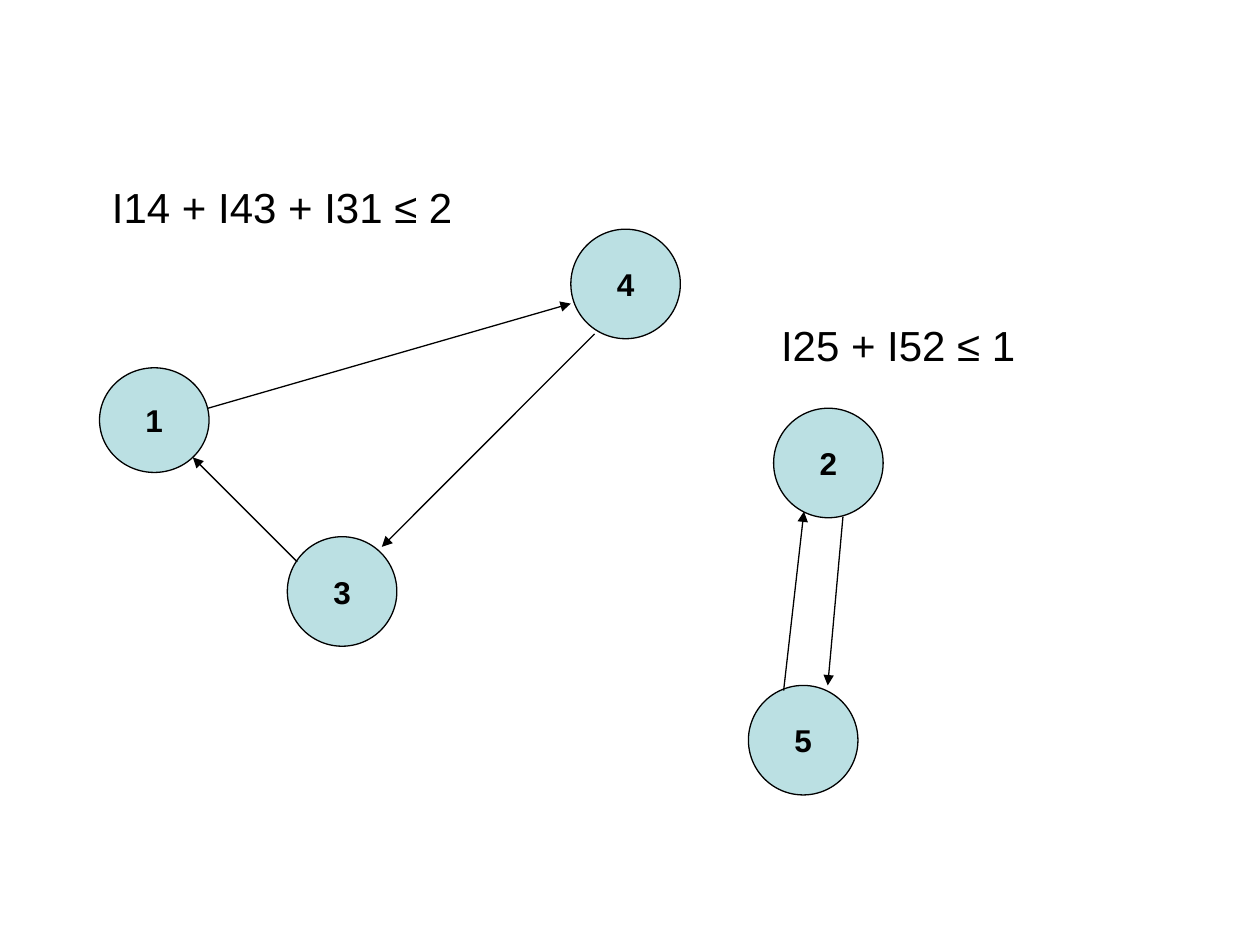
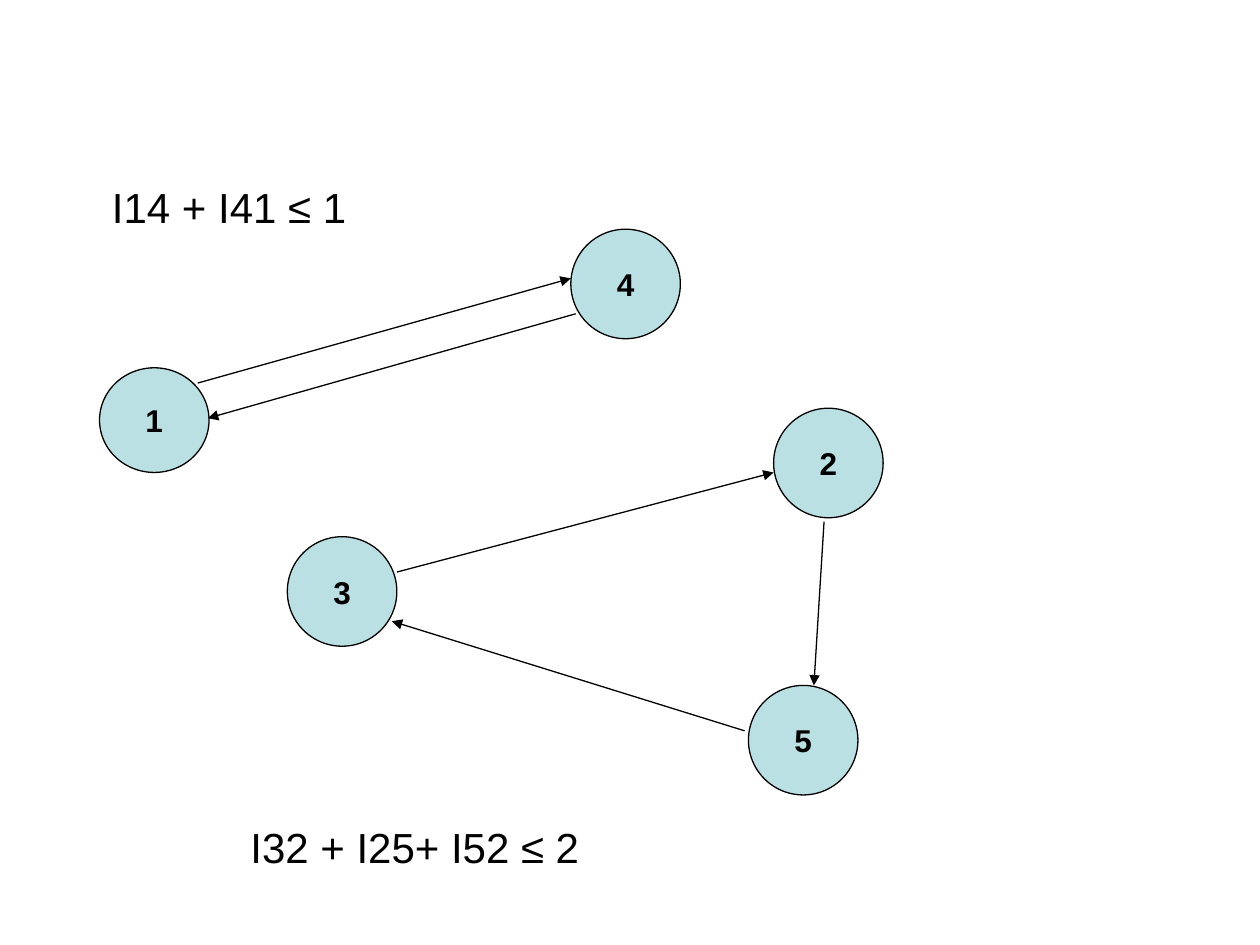
"""Draw two subtour diagrams, each with its elimination constraints."""
from dataclasses import dataclass

from lxml.etree import SubElement
from pptx import Presentation
from pptx.dml.color import RGBColor
from pptx.enum.shapes import MSO_CONNECTOR, MSO_SHAPE
from pptx.enum.text import MSO_ANCHOR, PP_ALIGN
from pptx.oxml.ns import qn
from pptx.util import Pt


@dataclass(frozen=True)
class Theme:
    font: str = "Arial"
    ink: RGBColor = RGBColor(0x00, 0x00, 0x00)
    node_fill: RGBColor = RGBColor(0xBB, 0xE0, 0xE3)
    node_size: float = 18
    constraint_size: float = 24
    line_width: float = 0.75


class SubtourDeck:
    def __init__(self, theme):
        self.theme = theme
        self.deck = Presentation()
        self.deck.slide_width, self.deck.slide_height = Pt(720), Pt(540)
        self.slide = None

    def new_slide(self):
        self.slide = self.deck.slides.add_slide(self.deck.slide_layouts[6])

    def set_text(self, paragraph, words, size, bold=False):
        paragraph.text = words
        font = paragraph.font
        font.name, font.size, font.bold = self.theme.font, Pt(size), bold
        font.color.rgb = self.theme.ink

    def outline(self, line):
        line.color.rgb = self.theme.ink
        line.width = Pt(self.theme.line_width)

    def node(self, city, left, top, width, height):
        circle = self.slide.shapes.add_shape(
            MSO_SHAPE.OVAL, Pt(left), Pt(top), Pt(width), Pt(height))
        circle.shadow.inherit = False
        circle.fill.solid()
        circle.fill.fore_color.rgb = self.theme.node_fill
        self.outline(circle.line)
        frame = circle.text_frame
        frame.word_wrap = False
        frame.vertical_anchor = MSO_ANCHOR.MIDDLE
        label = frame.paragraphs[0]
        label.alignment = PP_ALIGN.CENTER
        self.set_text(label, city, self.theme.node_size, bold=True)

    def arrow(self, *ends):
        leg = self.slide.shapes.add_connector(
            MSO_CONNECTOR.STRAIGHT, *(Pt(end) for end in ends))
        self.outline(leg.line)
        properties = leg._element.spPr
        SubElement(properties.find(qn("a:ln")), qn("a:tailEnd"), type="triangle")
        SubElement(properties, qn("a:effectLst"))

    def constraint(self, words, left, top, width):
        box = self.slide.shapes.add_textbox(Pt(left), Pt(top), Pt(width), Pt(36))
        box.text_frame.word_wrap = True
        self.set_text(box.text_frame.paragraphs[0], words, self.theme.constraint_size)


DIAMETER = 62.6
CITIES = [
    ("1", 56.9, 210.2, DIAMETER, 59.8),
    ("2", 442.1, 233.3, DIAMETER, DIAMETER),
    ("3", 164.2, 306.7, DIAMETER, DIAMETER),
    ("4", 326.2, 131, DIAMETER, DIAMETER),
    ("5", 427.7, 391.7, DIAMETER, DIAMETER),
]
SUBTOURS = [
    {
        "legs": [
            (118.8, 233.3, 326.2, 173.5),
            (339.8, 190.8, 218.2, 312.5),
            (169.9, 321.1, 110.2, 261.4),
            (481.7, 295.2, 473, 391.7),
            (447.8, 394.6, 459.4, 292.3),
        ],
        "constraints": [
            ("I14 + I43 + I31 ≤ 2", 56.9, 100, 226.8),
            ("I25 + I52 ≤ 1", 439.2, 179.3, 167),
        ],
    },
    {
        "legs": [
            (113, 218.9, 326.2, 159.1),
            (329, 179.3, 118.8, 239),
            (226.8, 326.9, 442.1, 270),
            (470.9, 298.1, 465.1, 391.7),
            (425.5, 417.6, 223.9, 355),
        ],
        "constraints": [
            ("I14 + I41 ≤ 1", 56.9, 100, 226.8),
            ("I32 + I25+ I52 ≤ 2", 136, 465.8, 334.8),
        ],
    },
]


def main():
    diagrams = SubtourDeck(Theme())
    for subtour in SUBTOURS:
        diagrams.new_slide()
        for city in CITIES:
            diagrams.node(*city)
        for leg in subtour["legs"]:
            diagrams.arrow(*leg)
        for constraint in subtour["constraints"]:
            diagrams.constraint(*constraint)
    diagrams.deck.save("out.pptx")


if __name__ == "__main__":
    main()
